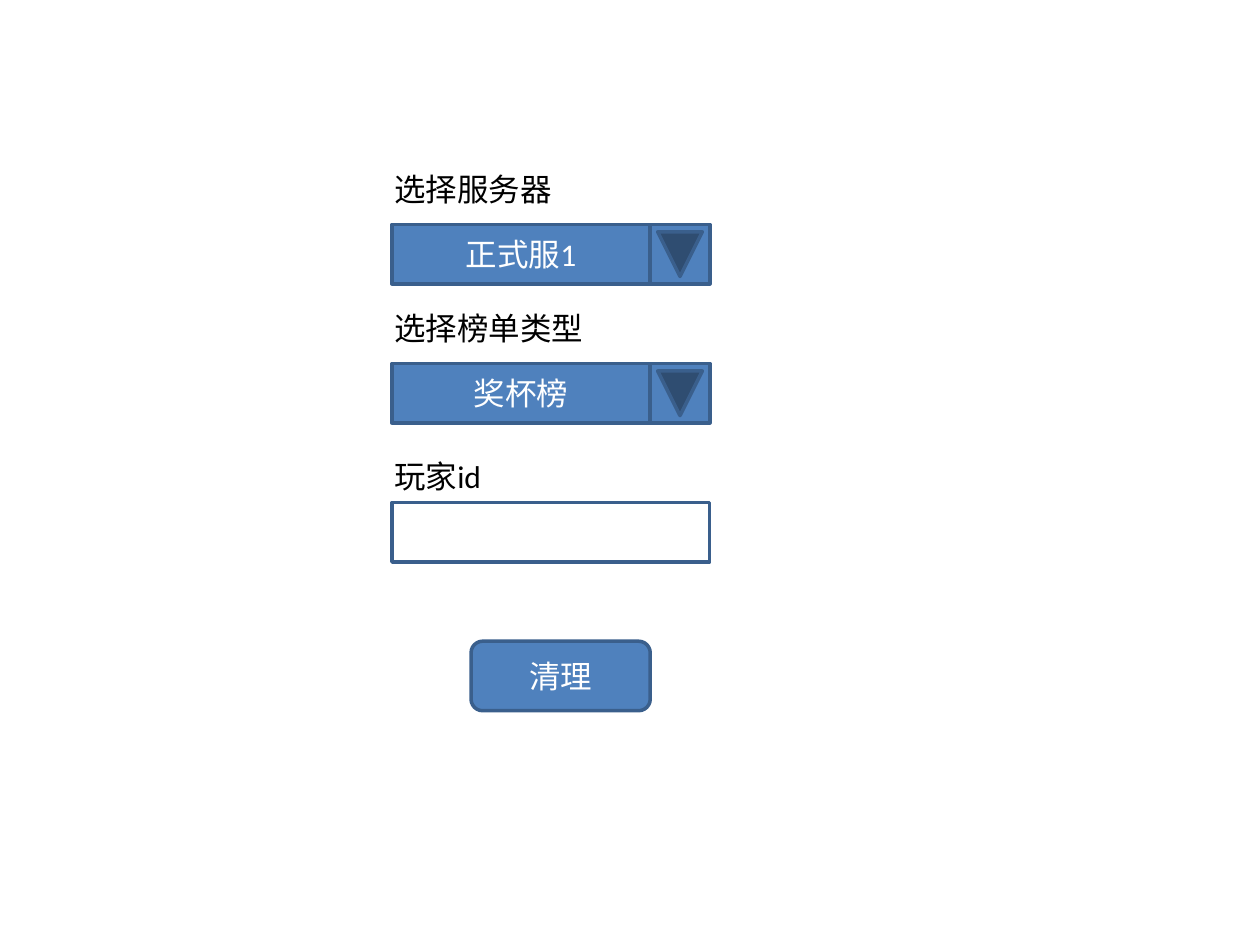
from pptx import Presentation
from pptx.dml.color import RGBColor
from pptx.enum.shapes import MSO_SHAPE
from pptx.enum.text import MSO_ANCHOR, PP_ALIGN
from pptx.util import Pt

RECT = MSO_SHAPE.RECTANGLE
ROUND = MSO_SHAPE.ROUNDED_RECTANGLE
ARROW = MSO_SHAPE.ACTION_BUTTON_BACK_OR_PREVIOUS
MIDDLE = MSO_ANCHOR.MIDDLE
CENTER, LEFT = PP_ALIGN.CENTER, PP_ALIGN.LEFT

COLORS = {"fill": "4F81BD", "edge": "3A5F8C", "light": "FFFFFF", "dark": "000000"}
FONT = {"name": "Calibri", "size": Pt(18)}

# Form grid, in points
FORM_X, FORM_Y, STEP = 224, 128.2, 79.5
MAIN_W, ROW_H = 147.6, 34
LABEL_X, LABEL_H = 218.2, 29


def color(key):
    return RGBColor.from_string(COLORS[key])


def write(shape, text, ink, align):
    frame = shape.text_frame
    frame.word_wrap = True
    para = frame.paragraphs[0]
    para.text = text
    para.alignment = align
    for key, value in FONT.items():
        setattr(para.font, key, value)
    para.font.color.rgb = color(ink)


def add_box(slide, kind, box, text="", fill="fill"):
    shape = slide.shapes.add_shape(kind, *map(Pt, box))
    shape.shadow.inherit = False
    if fill:
        shape.fill.solid()
        shape.fill.fore_color.rgb = color(fill)
    else:
        shape.fill.background()
    shape.line.color.rgb = color("edge")
    shape.line.width = Pt(2)
    if text:
        shape.text_frame.vertical_anchor = MIDDLE
        write(shape, text, "light", CENTER)
    return shape


def add_label(slide, top, text):
    box = slide.shapes.add_textbox(Pt(LABEL_X), Pt(top), Pt(MAIN_W), Pt(LABEL_H))
    write(box, text, "dark", LEFT)


def add_menu(slide, top, text):
    add_box(slide, RECT, (FORM_X, top, MAIN_W, ROW_H), text)
    arrow = add_box(slide, ARROW, (FORM_X + MAIN_W, top, ROW_H, ROW_H))
    arrow.rotation = 270


def main():
    deck = Presentation()
    deck.slide_width, deck.slide_height = Pt(720), Pt(540)
    slide = deck.slides.add_slide(deck.slide_layouts[6])

    # Drop-down menus
    menus = [("选择服务器", "正式服1"), ("选择榜单类型", "奖杯榜")]
    for row, (label, choice) in enumerate(menus):
        top = FORM_Y + row * STEP
        add_label(slide, top - 34.5, label)
        add_menu(slide, top, choice)

    # Player field
    top = FORM_Y + len(menus) * STEP
    add_label(slide, top - 29.5, "玩家id")
    add_box(slide, RECT, (FORM_X, top, MAIN_W + ROW_H, ROW_H), fill=None)

    # Clear button
    add_box(slide, ROUND, (269.2, 366.4, 102.4, 39.7), "清理")

    deck.save("out.pptx")


if __name__ == "__main__":
    main()
